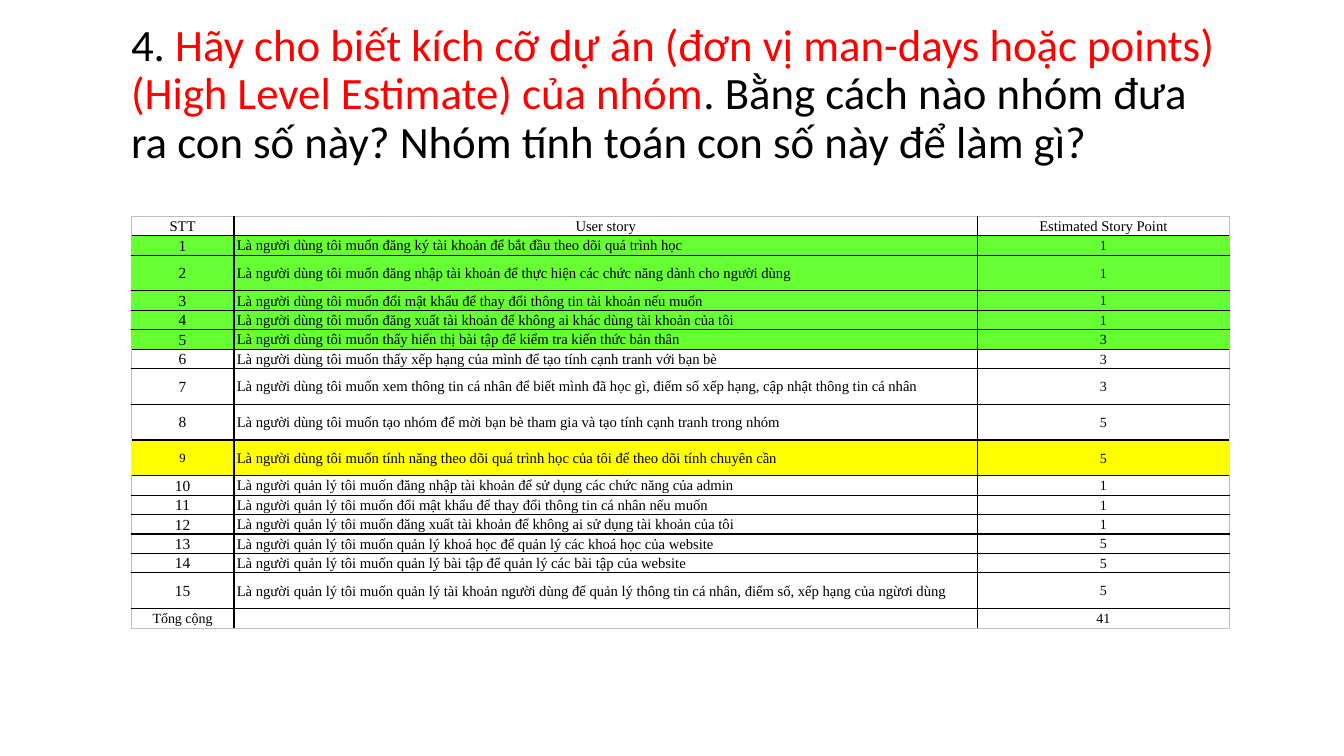
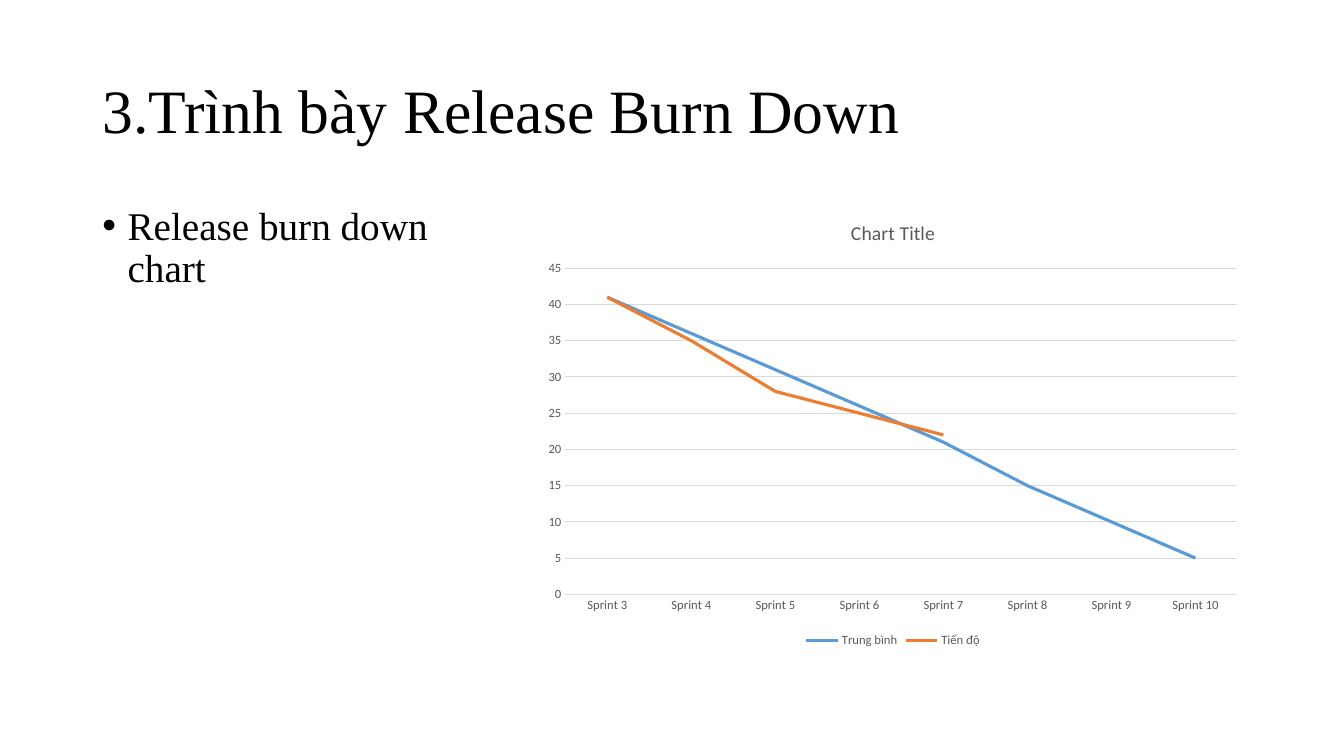
from lxml import etree
from pptx import Presentation
from pptx import util as u
from pptx.chart import data as chart_data
from pptx.dml import color
from pptx.enum import chart as ch, text as tx
from pptx.oxml import ns

COLORS = {
    "black": "000000", "red": "FF0000", "white": "FFFFFF",
    "done": "66FF33", "doing": "FFFF00", "edge": "BFBFBF",
    "axis": "595959", "grid": "D9D9D9", "average": "5B9BD5", "progress": "ED7D31",
}
SANS, SERIF = "Calibri", "Times New Roman"
HEADINGS = ("STT", "User story", "Estimated Story Point")
STORIES = [
    ("Là người dùng tôi muốn đăng ký tài khoản để bắt đầu theo dõi quá trình học", 1),
    ("Là người dùng tôi muốn đăng nhập tài khoản để thực hiện các chức năng dành cho người dùng", 1),
    ("Là người dùng tôi muốn đổi mật khẩu để thay đổi thông tin tài khoản nếu muốn", 1),
    ("Là người dùng tôi muốn đăng xuất tài khoản để không ai khác dùng tài khoản của tôi", 1),
    ("Là người dùng tôi muốn thấy hiển thị bài tập để kiểm tra kiến thức bản thân", 3),
    ("Là người dùng tôi muốn thấy xếp hạng của mình để tạo tính cạnh tranh với bạn bè", 3),
    ("Là người dùng tôi muốn xem thông tin cá nhân để biết mình đã học gì, điểm số xếp hạng, "
     "cập nhật thông tin cá nhân", 3),
    ("Là người dùng tôi muốn tạo nhóm để mời bạn bè tham gia và tạo tính cạnh tranh trong nhóm", 5),
    ("Là người dùng tôi muốn tính năng theo dõi quá trình học của tôi để theo dõi tính chuyên cần", 5),
    ("Là người quản lý tôi muốn đăng nhập tài khoản để sử dụng các chức năng của admin", 1),
    ("Là người quản lý tôi muốn đổi mật khẩu để thay đổi thông tin cá nhân nếu muốn", 1),
    ("Là người quản lý tôi muốn đăng xuất tài khoản để không ai sử dụng tài khoản của tôi", 1),
    ("Là người quản lý tôi muốn quản lý khoá học để quản lý các khoá học của website", 5),
    ("Là người quản lý tôi muốn quản lý bài tập để quản lý các bài tập của website", 5),
    ("Là người quản lý tôi muốn quản lý tài khoản người dùng để quản lý thông tin cá nhân, "
     "điểm số, xếp hạng của ngừơi dùng", 5),
]
TALL_ROWS = {2, 7, 8, 9, 15}
ROW_FILLS = {**dict.fromkeys(range(1, 6), "done"), 9: "doing"}
COLUMN_WIDTHS = (73.6, 531, 180)
SPRINTS = [f"Sprint {number}" for number in range(3, 11)]
BURN_DOWN = [
    ("Trung bình", (41, 36, 31, 26, 21, 15, 10, 5), "average"),
    ("Tiến độ", (41, 35, 28, 25, 22, None, None, None), "progress"),
]


def rgb(name):
    """Return the palette colour with this name."""
    return color.RGBColor.from_string(COLORS[name])


def style(font, size, face=SANS, ink="black"):
    """Set size, typeface and colour of a font."""
    font.size, font.name, font.bold = u.Pt(size), face, False
    font.color.rgb = rgb(ink)


def write(paragraph, text, *, size, face=SERIF, ink="black",
          align=tx.PP_ALIGN.LEFT, spacing=0.9, before=0):
    """Append formatted text to a paragraph."""
    paragraph.alignment = align
    paragraph.line_spacing = spacing
    paragraph.space_before = u.Pt(before)
    if text:
        run = paragraph.add_run()
        run.text = text
        style(run.font, size, face, ink)
    else:
        paragraph._p.get_or_add_endParaRPr().set("sz", str(int(size * 100)))


def place(holder, left, top, width, height, anchor):
    """Move a placeholder and return its first paragraph."""
    holder.left, holder.top = u.Pt(left), u.Pt(top)
    holder.width, holder.height = u.Pt(width), u.Pt(height)
    frame = holder.text_frame
    frame.word_wrap = True
    frame.auto_size = tx.MSO_AUTO_SIZE.NONE
    frame.vertical_anchor = anchor
    return frame.paragraphs[0]


def add_title(slide, box, parts, **form):
    """Fill the title placeholder with (text, colour) parts."""
    heading = place(slide.shapes.title, *box, tx.MSO_ANCHOR.MIDDLE)
    for text, ink in parts:
        write(heading, text, ink=ink, **form)


def add_bullet(slide, box, text):
    """Fill the body placeholder with one bulleted line."""
    item = place(slide.placeholders[1], *box, tx.MSO_ANCHOR.TOP)
    write(item, text, size=28, before=10)
    properties = item._p.get_or_add_pPr()
    properties.set("marL", str(u.Pt(18)))
    properties.set("indent", str(-u.Pt(18)))
    etree.SubElement(properties, ns.qn("a:buChar")).set("char", "•")


def add_border(cell, side, ink, width):
    """Draw one side (L, R, T or B) of a cell."""
    line = etree.SubElement(cell._tc.get_or_add_tcPr(), ns.qn(f"a:ln{side}"), w=str(u.Pt(width)))
    fill = etree.SubElement(line, ns.qn("a:solidFill"))
    etree.SubElement(fill, ns.qn("a:srgbClr"), val=COLORS[ink])


def fill_cell(cell, text, fill, outer, **form):
    """Format one table cell, with a pale line on its outer sides."""
    for side in "LRTB":
        if side in outer:
            add_border(cell, side, "edge" if fill == "white" else fill, 0.5)
        else:
            add_border(cell, side, "black", 1)
    cell.fill.solid()
    cell.fill.fore_color.rgb = rgb(fill)
    cell.margin_left = cell.margin_right = u.Pt(2)
    cell.margin_top = cell.margin_bottom = 0
    cell.vertical_anchor = tx.MSO_ANCHOR.MIDDLE
    write(cell.text_frame.paragraphs[0], text, spacing=1.07, **form)


def text_size(row, column, last):
    """Return the text size for a table position."""
    if row == 0:
        return 10.5
    if row == last:
        return 10
    return (9 if row == 9 else 11, 10.5, 10)[column]


def add_story_table(slide, left, top):
    """Add the table of user stories with their total."""
    rows = [HEADINGS]
    rows += [(str(number), story, str(points)) for number, (story, points) in enumerate(STORIES, 1)]
    rows.append(("Tổng cộng", "", str(sum(points for _, points in STORIES))))
    heights = [25.5 if row in TALL_ROWS else 13.9 for row in range(len(rows))]
    table = slide.shapes.add_table(len(rows), len(HEADINGS), u.Pt(left), u.Pt(top),
                                   u.Pt(sum(COLUMN_WIDTHS)), u.Pt(sum(heights))).table
    table.first_row = table.horz_banding = False
    for column, width in zip(table.columns, COLUMN_WIDTHS):
        column.width = u.Pt(width)
    last = len(rows) - 1
    for row, texts in enumerate(rows):
        table.rows[row].height = u.Pt(heights[row])
        for column, text in enumerate(texts):
            outer = {0: "L", 2: "R"}.get(column, "") + {0: "T", last: "B"}.get(row, "")
            is_story = column == 1 and row > 0
            fill_cell(table.cell(row, column), text, ROW_FILLS.get(row, "white"), outer,
                      size=text_size(row, column, last),
                      align=tx.PP_ALIGN.LEFT if is_story else tx.PP_ALIGN.CENTER)


def style_axis(axis):
    """Give an axis small grey labels and no ticks."""
    axis.major_tick_mark = axis.minor_tick_mark = ch.XL_TICK_MARK.NONE
    style(axis.tick_labels.font, 9, ink="axis")


def style_line(line, ink, width):
    """Set colour and width of a chart line."""
    line.color.rgb = rgb(ink)
    line.width = u.Pt(width)


def add_burn_down(slide, left, top, width, height):
    """Add the line chart of points left after each sprint."""
    numbers = chart_data.CategoryChartData()
    numbers.categories = SPRINTS
    for name, values, _ in BURN_DOWN:
        numbers.add_series(name, values)
    chart = slide.shapes.add_chart(ch.XL_CHART_TYPE.LINE, u.Pt(left), u.Pt(top),
                                   u.Pt(width), u.Pt(height), numbers).chart
    style(chart.font, 10)
    chart.has_title = True
    write(chart.chart_title.text_frame.paragraphs[0], "Chart Title", size=14, face=SANS,
          ink="axis", align=tx.PP_ALIGN.CENTER, spacing=1.0)
    chart.has_legend = True
    chart.legend.position = ch.XL_LEGEND_POSITION.BOTTOM
    chart.legend.include_in_layout = False
    style(chart.legend.font, 9, ink="axis")
    sprints, points = chart.category_axis, chart.value_axis
    style_axis(sprints)
    style_axis(points)
    style_line(sprints.format.line, "grid", 0.75)
    points.format.line.fill.background()
    points.minimum_scale, points.maximum_scale, points.major_unit = 0, 45, 5
    style_line(points.major_gridlines.format.line, "grid", 0.75)
    chart.plots[0].vary_by_categories = False
    for series, (_, _, ink) in zip(chart.plots[0].series, BURN_DOWN):
        series.smooth = False
        series.marker.style = ch.XL_MARKER_STYLE.NONE
        style_line(series.format.line, ink, 2.25)


def main():
    """Build both slides and save them."""
    deck = Presentation()
    deck.slide_width, deck.slide_height = u.Pt(960), u.Pt(540)

    estimate = deck.slides.add_slide(deck.slide_layouts[5])
    add_title(estimate, (86.4, 0, 792, 136), [
        ("4. ", "black"),
        ("Hãy cho biết kích cỡ dự án (đơn vị man-days hoặc points) "
         "(High Level Estimate) của nhóm", "red"),
        (". Bằng cách nào nhóm đưa ra con số này? Nhóm tính toán con số này để làm gì?", "black"),
    ], size=32, face=SANS)
    add_story_table(estimate, 93.6, 154.5)

    release = deck.slides.add_slide(deck.slide_layouts[1])
    add_title(release, (66, 28.8, 828, 104.4), [("3.Trình bày Release Burn Down", "black")], size=44)
    add_bullet(release, (66, 144, 281, 272), "Release burn down chart")
    add_burn_down(release, 381.6, 144, 512.6, 321.8)

    deck.save("out.pptx")


if __name__ == "__main__":
    main()
